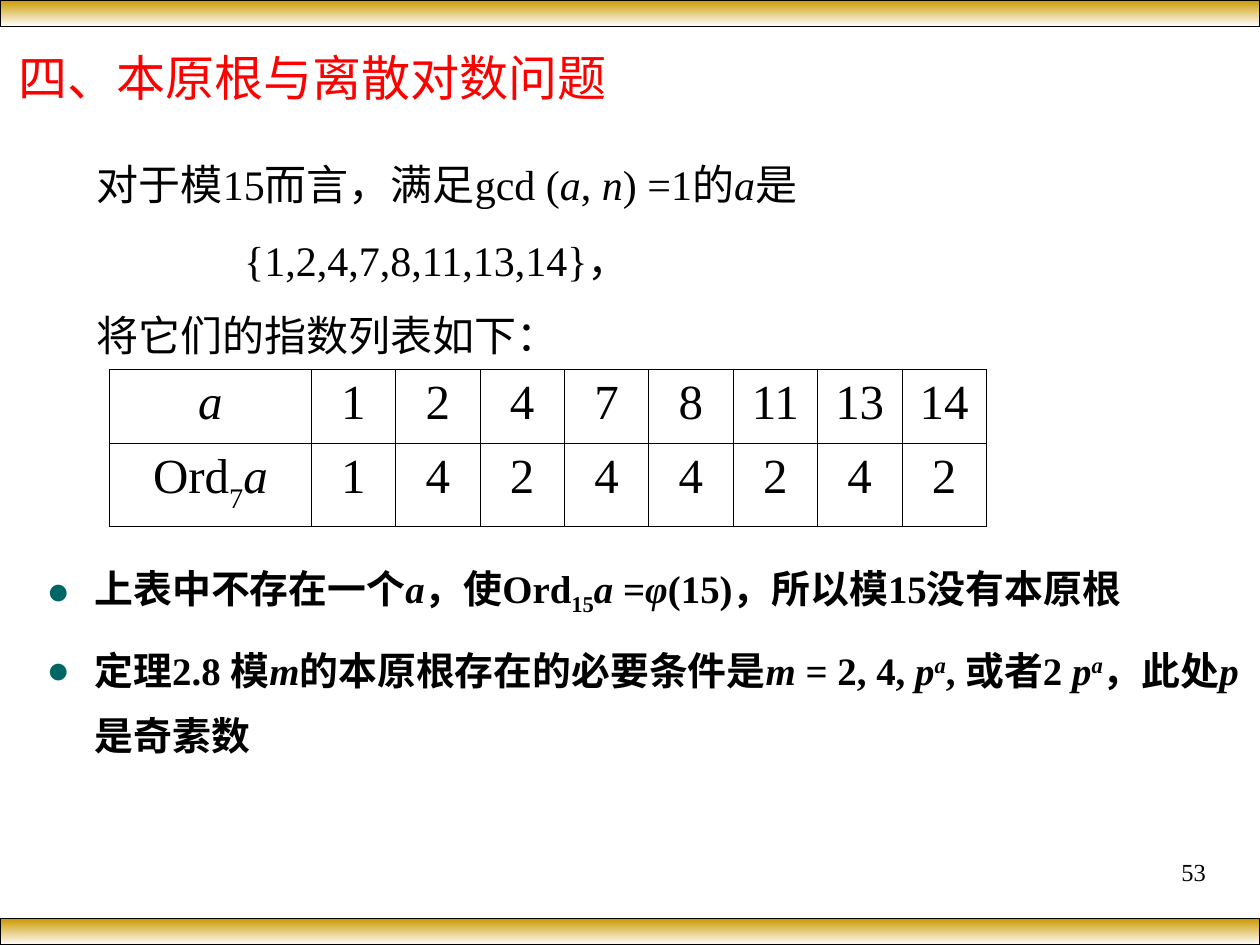
from lxml.etree import SubElement
from pptx import Presentation
from pptx.dml.color import RGBColor
from pptx.enum.shapes import MSO_SHAPE
from pptx.enum.text import MSO_ANCHOR, MSO_AUTO_SIZE, PP_ALIGN
from pptx.oxml.ns import qn
from pptx.util import Inches, Pt

LATIN, CJK = "Times New Roman", "Noto Sans CJK SC"
WIDTH, HEIGHT, BAR = 10, 7.5, 0.21

# A run is plain text or (text, marks): i = italic, _ = subscript, ^ = superscript.
A, P, P_POWER = ("a", "i"), ("p", "i"), ("a", "i^")
TITLE = [["四、本原根与离散对数问题"]]
INTRO = [
    ["对于模15而言，满足gcd (", A, ", ", ("n", "i"), ") =1的", A, "是"],
    ["{1,2,4,7,8,11,13,14}，"],
    ["将它们的指数列表如下："],
]
POINTS = [
    ["上表中不存在一个", A, "，使Ord", ("15", "_"), A, " =", ("φ", "i"),
     "(15)，所以模15没有本原根"],
    ["定理2.8 模", ("m", "i"), "的本原根存在的必要条件是", ("m ", "i"), "= 2, 4, ",
     P, P_POWER, ", 或者2", (" p", "i"), P_POWER, "，此处", P, "是奇素数"],
]
ORDERS = {1: 1, 2: 4, 4: 2, 7: 4, 8: 4, 11: 2, 13: 4, 14: 2}
TABLE_ROWS = [
    [[A]] + [[str(a)] for a in ORDERS],
    [["Ord", ("7", "_"), A]] + [[str(order)] for order in ORDERS.values()],
]
ROW_HEIGHTS = [0.59, 0.66]
LABEL_COL, VALUE_COL = 1.6, 0.67


def rgb(color):
    return RGBColor.from_string(color)


def add_runs(p, runs, size, color="000000", bold=False, latin=LATIN, sub=-25):
    for item in runs:
        text, marks = (item, "") if isinstance(item, str) else item
        r = p.add_run()
        r.text = text
        for name, value in dict(size=Pt(size), name=latin, bold=bold, italic="i" in marks).items():
            setattr(r.font, name, value)
        r.font.color.rgb = rgb(color)
        props = r.font._element
        SubElement(props, qn("a:ea")).set("typeface", CJK)
        shift = sub if "_" in marks else 30 if "^" in marks else 0
        if shift:
            props.set("baseline", str(shift * 1000))


def write(shape, box, paragraphs, size, anchor=MSO_ANCHOR.TOP, align=PP_ALIGN.LEFT,
          spacing=1.0, before=0, **style):
    """Place a text shape and fill it; return its paragraphs."""
    shape.left, shape.top, shape.width, shape.height = map(Inches, box)
    tf = shape.text_frame
    tf.word_wrap, tf.auto_size, tf.vertical_anchor = True, MSO_AUTO_SIZE.NONE, anchor
    for i, runs in enumerate(paragraphs):
        p = tf.add_paragraph() if i else tf.paragraphs[0]
        p.alignment, p.line_spacing = align, spacing
        p.space_before = Pt(before if i else 0)
        add_runs(p, runs, size, **style)
    return tf.paragraphs


def set_bullet(p, char, color, indent):
    props = p._p.get_or_add_pPr()
    props.set("marL", str(Inches(indent)))
    props.set("indent", str(-Inches(indent)))
    SubElement(SubElement(props, qn("a:buClr")), qn("a:srgbClr")).set("val", color)
    SubElement(props, qn("a:buChar")).set("char", char)


def set_borders(cell, color, width):
    props = cell._tc.get_or_add_tcPr()
    for i, side in enumerate(("lnL", "lnR", "lnT", "lnB")):
        ln = props.makeelement(qn(f"a:{side}"), {"w": str(Pt(width))})
        props.insert(i, ln)
        SubElement(SubElement(ln, qn("a:solidFill")), qn("a:srgbClr")).set("val", color)


def add_bar(slide, top):
    bar = slide.shapes.add_shape(MSO_SHAPE.RECTANGLE, 0, Inches(top), Inches(WIDTH), Inches(BAR))
    bar.shadow.inherit = False
    bar.fill.gradient()
    bar.fill.gradient_angle = 270
    for stop, position, color in zip(bar.fill.gradient_stops, (0, 1), ("CC9900", "FFFFFF")):
        stop.position, stop.color.rgb = position, rgb(color)
    bar.line.color.rgb, bar.line.width = rgb("000000"), Pt(0.75)


def add_order_table(slide, left, top):
    widths = [LABEL_COL] + [VALUE_COL] * len(ORDERS)
    frame = slide.shapes.add_table(len(TABLE_ROWS), len(widths), Inches(left), Inches(top),
                                   Inches(sum(widths)), Inches(sum(ROW_HEIGHTS)))
    table = frame.table
    table.first_row = table.horz_banding = False
    for column, width in zip(table.columns, widths):
        column.width = Inches(width)
    for i, (row, height) in enumerate(zip(TABLE_ROWS, ROW_HEIGHTS)):
        table.rows[i].height = Inches(height)
        for cell, runs in zip(table.rows[i].cells, row):
            cell.fill.background()
            set_borders(cell, "000000", 0.45)
            p = cell.text_frame.paragraphs[0]
            p.alignment = PP_ALIGN.CENTER
            add_runs(p, runs, 28, sub=-30)


def main():
    prs = Presentation()
    prs.slide_width, prs.slide_height = Inches(WIDTH), Inches(HEIGHT)
    s = prs.slides.add_slide(prs.slide_layouts[1])
    for top in (0, HEIGHT - BAR):
        add_bar(s, top)

    write(s.shapes.title, (0.05, BAR, 9, 0.8), TITLE, 28,
          anchor=MSO_ANCHOR.MIDDLE, color="FF0000", latin=CJK)
    for p in write(s.placeholders[1], (0.27, 4.26, 9.69, 2.05), POINTS, 22.2,
                   spacing=1.4, before=6, bold=True):
        set_bullet(p, "●", "006666", 0.38)

    intro = write(s.shapes.add_textbox(0, 0, 0, 0), (0.67, 1.01, 9.14, 1.9), INTRO, 24,
                  spacing=1.5)
    intro[1]._p.get_or_add_pPr().set("marL", str(Inches(1.17)))
    add_order_table(s, 0.87, 2.93)
    write(s.shapes.add_textbox(0, 0, 0, 0), (7.17, 6.75, 2.5, 0.52), [["53"]], 14,
          align=PP_ALIGN.RIGHT)
    prs.save("out.pptx")


if __name__ == "__main__":
    main()
